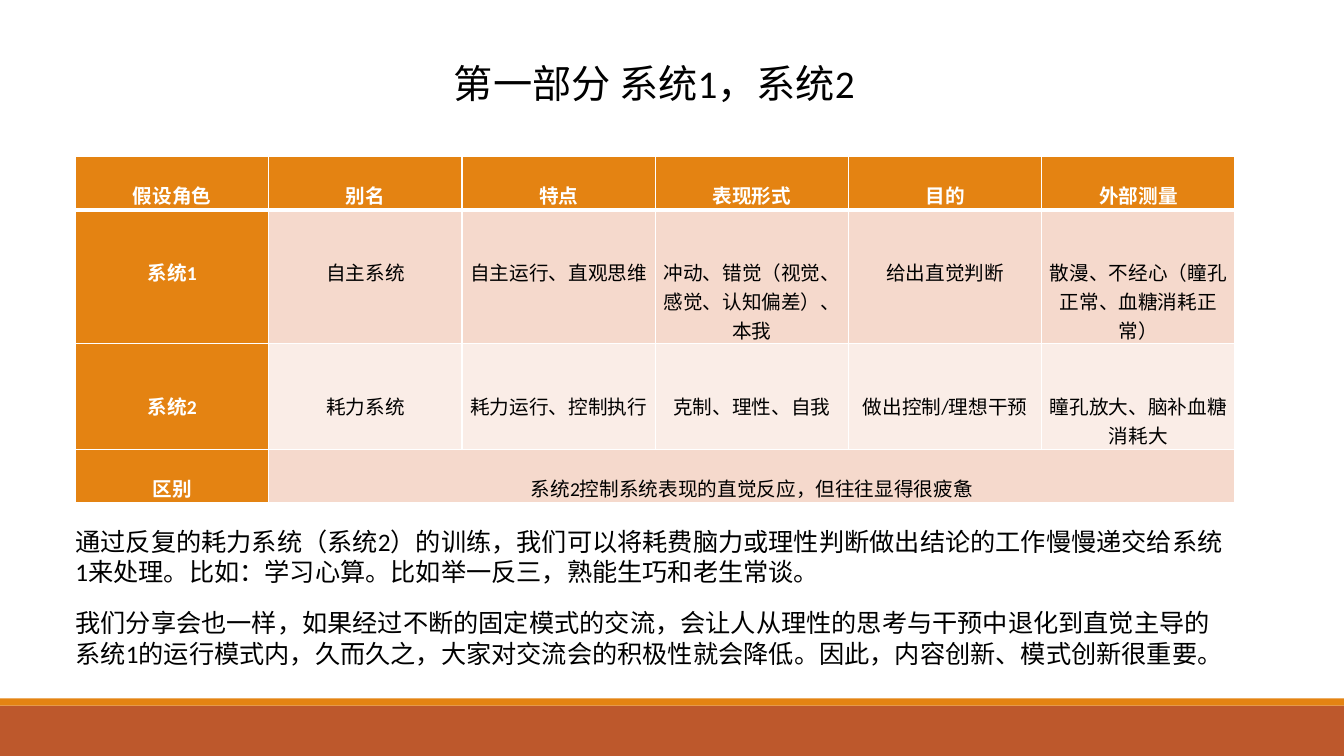
from dataclasses import dataclass

from lxml.etree import SubElement
from pptx import Presentation
from pptx.dml.color import RGBColor
from pptx.enum.shapes import MSO_SHAPE as Shape
from pptx.enum.text import MSO_ANCHOR as Anchor, PP_ALIGN as Align
from pptx.oxml.ns import qn
from pptx.util import Inches, Pt

ORANGE, RUST, WHITE, BLACK = "E48312", "BD582C", "FFFFFF", "000000"
DARK_BAND, LIGHT_BAND = "F5D9CC", "FAEDE7"
FONT = "Calibri"
BLANK_LINE = 0.24  # height of one 14 pt line


@dataclass
class Bar:
    top: float
    height: float
    color: str


@dataclass
class TextBlock:
    text: str
    box: tuple[float, float, float, float]
    size: int
    frame_format: dict
    paragraph_format: dict


@dataclass
class TableRow:
    texts: list[str]
    height: float
    lines_above: int
    band: str


BARS = [Bar(7, 0.5, RUST), Bar(6.93, 0.07, ORANGE)]

BLOCKS = [
    TextBlock("第一部分 系统1，系统2", (0.74, 0.36, 11.5, 1.45), 28,
              {"vertical_anchor": Anchor.MIDDLE, "margin_bottom": Inches(0.52)},
              {"alignment": Align.CENTER, "line_spacing": 0.9}),
    TextBlock("通过反复的耗力系统（系统2）的训练，我们可以将耗费脑力或理性判断做出结论的工作慢慢递交给系统1来处理。"
              "比如：学习心算。比如举一反三，熟能生巧和老生常谈。",
              (0.65, 5.17, 11.6, 0.71), 18, {}, {}),
    TextBlock("我们分享会也一样，如果经过不断的固定模式的交流，会让人从理性的思考与干预中退化到直觉主导的系统1的运行模式内，"
              "久而久之，大家对交流会的积极性就会降低。因此，内容创新、模式创新很重要。",
              (0.65, 5.98, 11.48, 0.71), 18, {}, {}),
]

ROWS = [
    TableRow(["假设角色", "别名", "特点", "表现形式", "目的", "外部测量"], 0.53, 1, ORANGE),
    TableRow(["系统1", "自主系统", "自主运行、直观思维", "冲动、错觉（视觉、感觉、认知偏差）、本我",
              "给出直觉判断", "散漫、不经心（瞳孔正常、血糖消耗正常）"], 1.33, 2, DARK_BAND),
    TableRow(["系统2", "耗力系统", "耗力运行、控制执行", "克制、理性、自我",
              "做出控制/理想干预", "瞳孔放大、脑补血糖消耗大"], 1.05, 2, LIGHT_BAND),
    TableRow(["区别", "系统2控制系统表现的直觉反应，但往往显得很疲惫"], 0.53, 1, DARK_BAND),
]


def rgb(color: str) -> RGBColor:
    return RGBColor.from_string(color)


def apply(target, formats: dict) -> None:
    for name, value in formats.items():
        setattr(target, name, value)


def write(paragraph, text: str, size: int, color: str, bold: bool = False):
    run = paragraph.add_run()
    run.text = text
    apply(run.font, {"name": FONT, "size": Pt(size), "bold": bold})
    run.font.color.rgb = rgb(color)
    return run


def draw_bar(slide, bar: Bar) -> None:
    strip = slide.shapes.add_shape(Shape.RECTANGLE, 0, Inches(bar.top),
                                   Inches(13.33), Inches(bar.height))
    strip.shadow.inherit = False
    strip.fill.solid()
    strip.fill.fore_color.rgb = rgb(bar.color)
    strip.line.fill.background()


def draw_block(slide, block: TextBlock) -> None:
    frame = slide.shapes.add_textbox(*map(Inches, block.box)).text_frame
    apply(frame, {"word_wrap": True, **block.frame_format})
    paragraph = frame.paragraphs[0]
    apply(paragraph, block.paragraph_format)
    run = write(paragraph, block.text, block.size, BLACK)
    SubElement(run.font._element, qn("a:ea"), typeface=FONT)


def set_borders(cell, bottom: int) -> None:
    properties = cell._tc.get_or_add_tcPr()
    widths = {"a:lnL": 1, "a:lnR": 1, "a:lnT": 1, "a:lnB": bottom}
    for position, (side, width) in enumerate(widths.items()):
        line = properties.makeelement(qn(side), {"w": str(Pt(width))})
        fill = SubElement(line, qn("a:solidFill"))
        SubElement(fill, qn("a:srgbClr"), val=WHITE)
        properties.insert(position, line)


def draw_table(slide, rows: list[TableRow]) -> None:
    columns = len(rows[0].texts)
    height = sum(row.height for row in rows)
    table = slide.shapes.add_table(len(rows), columns, Inches(0.75), Inches(1.55),
                                   Inches(11.5), Inches(height)).table
    for r, row in enumerate(rows):
        table.rows[r].height = Inches(row.height)
        for c in range(columns):
            cell = table.cell(r, c)
            heading = r == 0 or c == 0
            apply(cell, {"margin_left": Inches(0.07), "margin_right": Inches(0.07),
                         "margin_top": Inches(BLANK_LINE * row.lines_above),
                         "margin_bottom": 0})
            cell.fill.solid()
            cell.fill.fore_color.rgb = rgb(ORANGE if heading else row.band)
            set_borders(cell, 3 if r == 0 else 1)
            if c < len(row.texts):
                paragraph = cell.text_frame.paragraphs[0]
                paragraph.alignment = Align.CENTER
                write(paragraph, row.texts[c], 14, WHITE if heading else BLACK, heading)
    # The last row's remark spans all columns after its heading
    last = len(rows) - 1
    table.cell(last, 1).merge(table.cell(last, columns - 1))


def main() -> None:
    deck = Presentation()
    apply(deck, {"slide_width": Inches(13.33), "slide_height": Inches(7.5)})
    slide = deck.slides.add_slide(deck.slide_layouts[6])

    # Footer bars
    for bar in BARS:
        draw_bar(slide, bar)

    # Title and closing paragraphs
    for block in BLOCKS:
        draw_block(slide, block)

    # Comparison of the two systems
    draw_table(slide, ROWS)

    deck.save("out.pptx")


if __name__ == "__main__":
    main()
